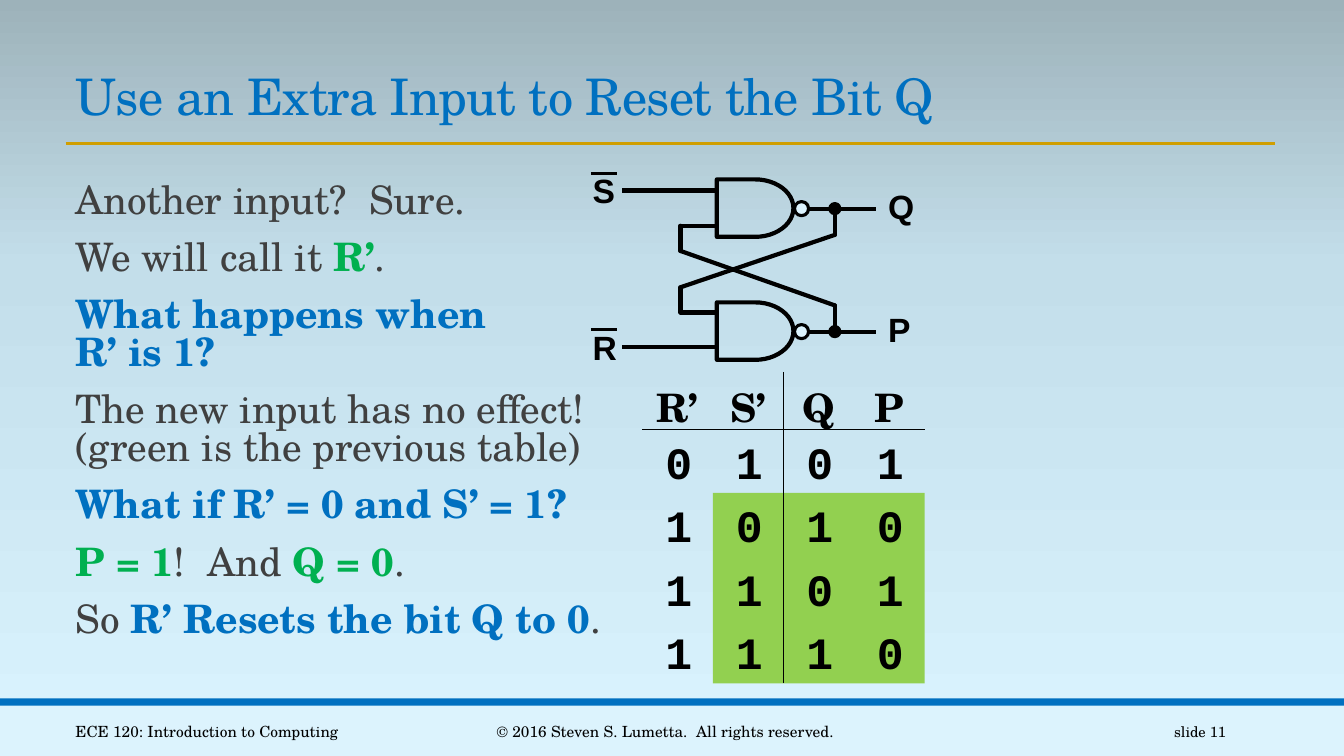
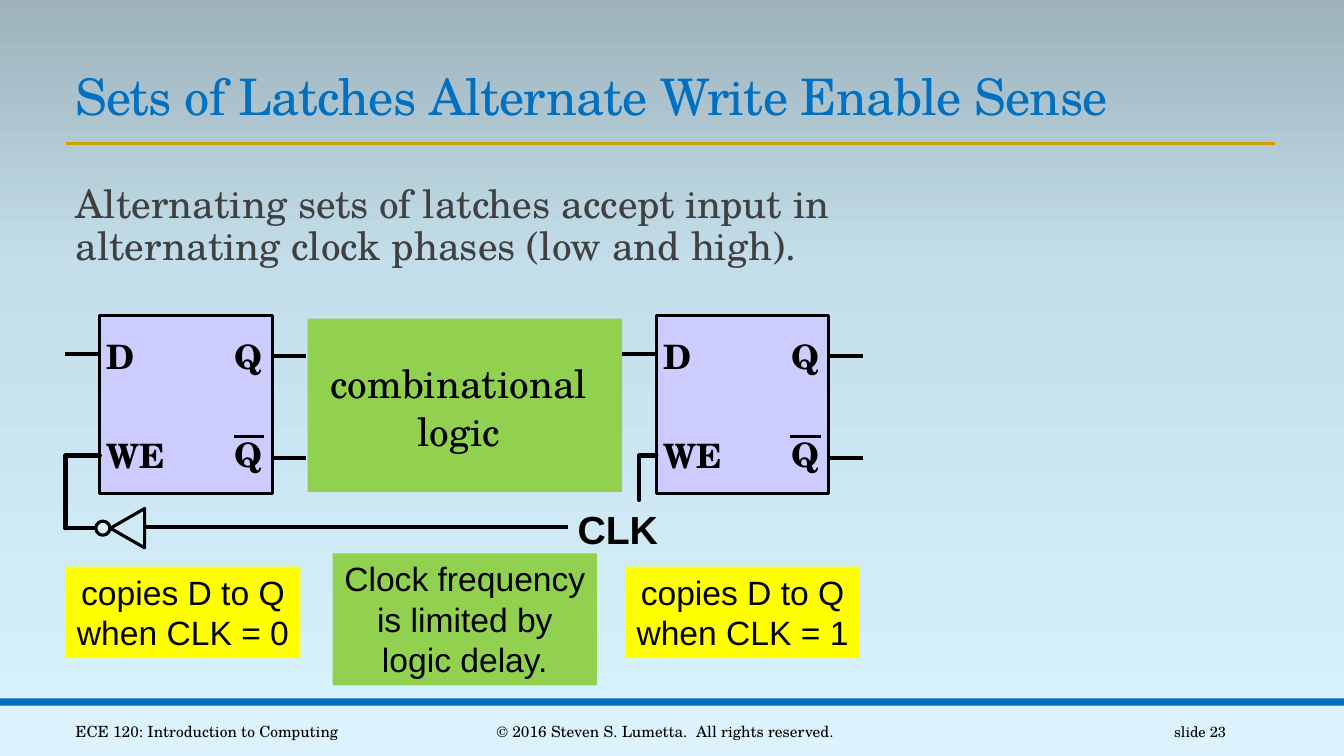
import copy
from itertools import pairwise

import pptx
import pptx.dml.color
import pptx.enum.shapes
import pptx.enum.text
import pptx.oxml.ns
import pptx.util
from lxml import etree

Inches, Pt = pptx.util.Inches, pptx.util.Pt
SHAPE = pptx.enum.shapes.MSO_SHAPE
ALIGN = pptx.enum.text.PP_ALIGN
ANCHOR = pptx.enum.text.MSO_ANCHOR
qn = pptx.oxml.ns.qn

COLORS = {
    "blue": "0070C0", "gold": "D09E00", "green": "00B050", "grey": "404040",
    "black": "000000", "pale": "DCF3FD", "lime": "92D050", "lilac": "CCCCFF",
    "yellow": "FFFF00", "sky low": "DAF4FF", "sky mid": "C3DEEA", "sky high": "9DB2BA",
}
SERIF, SANS, MONO = "TeX Gyre Schola", "Arial", "Courier New"


def rgb(name):
    return pptx.dml.color.RGBColor.from_string(COLORS[name])


class Deck:
    def __init__(self):
        self.prs = pptx.Presentation()
        self.prs.slide_width, self.prs.slide_height = Inches(13.33), Inches(7.5)
        self.slide = None

    def new_slide(self, title, number):
        """Start a slide with its background, bands, title and footer."""
        self.slide = self.prs.slides.add_slide(self.prs.slide_layouts[6])
        sky = self.slide.background.fill
        sky.gradient()
        sky.gradient_angle = 90
        stops = self.slide.element.find(".//" + qn("a:gsLst"))
        stops.append(copy.deepcopy(stops[0]))
        levels = ((0, "sky low"), (0.65, "sky mid"), (1, "sky high"))
        for stop, (position, color) in zip(sky.gradient_stops, levels):
            stop.position = position
            stop.color.rgb = rgb(color)

        self.shape(SHAPE.RECTANGLE, 0, 7, 13.33, 0.5, "pale")
        self.shape(SHAPE.RECTANGLE, 0, 6.93, 13.33, 0.07, "blue")
        self.wire((0.65, 1.42), (12.65, 1.42), color="gold", width=2)
        heading = self.text(0.65, 0.59, 12.01, 0.71, [[title]], size=36, color="blue",
                            anchor=ANCHOR.BOTTOM, wrap=True)
        heading.line_spacing = 0.85
        heading.runs[0].font._element.set("spc", "-50")
        footers = (
            (0.65, 3.25, "ECE 120: Introduction to Computing", 11, ALIGN.LEFT),
            (4.03, 5.14, "© 2016 Steven S. Lumetta.  All rights reserved.", 11, ALIGN.CENTER),
            (10.83, 1.43, f"slide {number}", 10.5, ALIGN.RIGHT),
        )
        for left, width, footer, size, align in footers:
            self.text(left, 7.06, width, 0.4, [[footer]], size=size, align=align,
                      anchor=ANCHOR.MIDDLE, wrap=True)

    def shape(self, kind, left, top, width, height, fill=None, line=None, turn=0):
        shape = self.slide.shapes.add_shape(
            kind, Inches(left), Inches(top), Inches(width), Inches(height))
        shape.shadow.inherit = False
        shape.rotation = turn
        if fill:
            shape.fill.solid()
            shape.fill.fore_color.rgb = rgb(fill)
        else:
            shape.fill.background()
        if line:
            shape.line.color.rgb = rgb("black")
            shape.line.width = Pt(line)
        else:
            shape.line.fill.background()
        return shape

    def circle(self, x, y, diameter, fill):
        """Draw a circle around the point x, y."""
        self.shape(SHAPE.OVAL, x - diameter / 2, y - diameter / 2, diameter, diameter, fill, 2.25)

    def wire(self, *points, color="black", width=3):
        """Join the points by straight lines, with round corners."""
        for (x1, y1), (x2, y2) in pairwise(points):
            segment = self.slide.shapes.add_connector(
                pptx.enum.shapes.MSO_CONNECTOR.STRAIGHT,
                Inches(x1), Inches(y1), Inches(x2), Inches(y2))
            segment.line.color.rgb = rgb(color)
            segment.line.width = Pt(width)
            if len(points) > 2:
                segment.line._ln.set("cap", "rnd")
            etree.SubElement(segment._element.spPr, qn("a:effectLst"))

    def style_run(self, run, font, size, color, bold):
        run.font.name, run.font.size, run.font.bold = font, Pt(size), bold
        run.font.color.rgb = rgb(color)

    def fill_frame(self, frame, paragraphs, font=SERIF, size=24, color="black", bold=False,
                   align=ALIGN.LEFT, anchor=ANCHOR.TOP, wrap=False):
        """Write paragraphs, each a list of runs: plain text or (text, color) for bold."""
        frame.word_wrap, frame.vertical_anchor = wrap, anchor
        for index, runs in enumerate(paragraphs):
            paragraph = frame.add_paragraph() if index else frame.paragraphs[0]
            paragraph.alignment = align
            for item in runs:
                words, tint, heavy = (item, color, bold) if isinstance(item, str) else (*item, True)
                for row, line in enumerate(words.split("\n")):
                    if row:
                        paragraph.add_line_break()
                    run = paragraph.add_run()
                    run.text = line
                    self.style_run(run, font, size, tint, heavy)
        return frame.paragraphs[0]

    def text(self, left, top, width, height, paragraphs, **style):
        box = self.slide.shapes.add_textbox(
            Inches(left), Inches(top), Inches(width), Inches(height))
        return self.fill_frame(box.text_frame, paragraphs, **style)

    def body(self, paragraphs, line_spacing):
        box = self.slide.shapes.add_textbox(Inches(0.65), Inches(1.78), Inches(8.52), Inches(4.64))
        self.fill_frame(box.text_frame, paragraphs, size=28, color="grey", wrap=True)
        for index, paragraph in enumerate(box.text_frame.paragraphs):
            paragraph.line_spacing = line_spacing
            paragraph.space_before = Pt(12 if index else 0)
            paragraph.space_after = Pt(2)

    def label(self, left, top, width, name, font=SERIF, size=24, height=0.5, bar=None):
        """Write a bold name or digit; bar is the start, end and height of its overline."""
        self.text(left, top, width, height, [[name]], font=font, size=size, bold=True)
        if bar:
            start, end, y = bar
            self.wire((start, y), (end, y), width=2)

    def note(self, left, top, width, height, fill, paragraphs):
        note = self.shape(SHAPE.RECTANGLE, left, top, width, height, fill)
        self.fill_frame(note.text_frame, [[words] for words in paragraphs], font=SANS,
                        align=ALIGN.CENTER, anchor=ANCHOR.TOP)

    def nand(self, top, output, input_name, input_y):
        """Draw a NAND gate with its outer input, its output and their names."""
        left, middle = 7.11, top + 0.29
        self.shape(SHAPE.FLOWCHART_DELAY, left, top, 0.76, 0.57, line=3)
        self.wire((left + 0.76, middle), (8.69, middle))
        self.circle(7.95, middle, 0.14, "pale")
        self.circle(8.28, middle, 0.1, "black")
        self.label(8.71, top + 0.02, 0.46, output, SANS)
        self.wire((6.17, input_y), (left, input_y))
        self.label(5.78, input_y - 0.25, 0.44, input_name, SANS,
                   bar=(5.86, 6.12, input_y - 0.17))

    def latch(self, left, enable_lead):
        """Draw a D latch with its four leads."""
        right, lead = left + 1.71, 0.34
        self.shape(SHAPE.RECTANGLE, left, 3.13, 1.71, 1.77, "lilac", 2)
        self.label(left - 0.03, 3.28, 0.48, "D")
        self.label(left - 0.03, 4.27, 0.79, "WE")
        self.label(right - 0.47, 3.28, 0.48, "Q")
        self.label(right - 0.47, 4.26, 0.48, "Q", bar=(right - 0.38, right - 0.08, 4.33))
        self.wire((left - lead, 3.51), (left, 3.51))
        self.wire((left, 4.52), *enable_lead)
        for y in (3.53, 4.54):
            self.wire((right, y), (right + lead, y))

    def truth_table(self, left, top, header, rows):
        """Rule a table, mark the previous table in lime and set the digits over it."""
        column, head_height, row_height = 0.7, 0.57, 0.63
        first_row = top + head_height
        self.shape(SHAPE.RECTANGLE, left + column, first_row + row_height,
                   column * (len(header) - 1), row_height * (len(rows) - 1), "lime")
        table = self.slide.shapes.add_table(
            len(rows) + 1, len(header), Inches(left), Inches(top),
            Inches(column * len(header)), Inches(head_height + row_height * len(rows))).table
        table.first_row = table.horz_banding = False
        for c, name in enumerate(header):
            table.columns[c].width = Inches(column)
            for r in range(len(rows) + 1):
                cell = table.cell(r, c)
                self.borders(cell, {"L": c == 2, "R": c == 1, "T": r == 1, "B": r == 0})
                cell.fill.background()
            self.fill_frame(table.cell(0, c).text_frame, [[name]], size=28, bold=True,
                            align=ALIGN.CENTER, wrap=True)
        for r, digits in enumerate(rows):
            table.rows[r + 1].height = Inches(row_height)
            for c, digit in enumerate(digits):
                self.label(left + 0.13 + column * c, first_row + row_height * r, 0.47, digit,
                           MONO, 32, 0.64)
        table.rows[0].height = Inches(head_height)

    def borders(self, cell, sides):
        properties = cell._tc.get_or_add_tcPr()
        for side, drawn in sides.items():
            border = etree.SubElement(properties, qn(f"a:ln{side}"), w=str(Pt(1)))
            paint = etree.SubElement(border, qn("a:solidFill" if drawn else "a:noFill"))
            if drawn:
                etree.SubElement(paint, qn("a:srgbClr"), val=COLORS["black"])


def reset_slide(deck):
    deck.new_slide("Use an Extra Input to Reset the Bit Q", 11)
    deck.body([
        ["Another input?  Sure."],
        ["We will call it ", ("R’", "green"), "."],
        [("What happens when\nR’ is 1?", "blue")],
        ["The new input has no effect!\n(green is the previous table)"],
        [("What if R’ = 0 and S’ = 1?", "blue")],
        [("P = 1", "green"), "!  And ", ("Q = 0", "green"), "."],
        ["So ", ("R’ Resets the bit Q to 0", "blue"), "."],
    ], 0.8)
    deck.nand(1.78, "Q", "S", 1.89)
    deck.nand(3, "P", "R", 3.44)
    deck.wire((8.28, 2.07), (8.28, 2.33), (6.75, 2.85), (6.75, 3.1), (7.11, 3.1))
    deck.wire((8.28, 3.29), (8.28, 3.03), (6.75, 2.49), (6.75, 2.24), (7.11, 2.24))
    deck.truth_table(6.37, 3.69, ["R’", "S’", "Q", "P"], ["0101", "1010", "1101", "1110"])


def latches_slide(deck):
    deck.new_slide("Sets of Latches Alternate Write Enable Sense", 23)
    deck.body([["Alternating sets of latches accept input in "
                "alternating clock phases (low and high)."]], 0.9)
    deck.latch(0.99, [(0.65, 4.52), (0.65, 5.24), (0.95, 5.24)])
    deck.shape(SHAPE.RECTANGLE, 3.05, 3.16, 3.12, 1.72, "lime")
    deck.text(3.16, 3.52, 2.78, 1.04, [["combinational"], ["logic"]], size=28,
              align=ALIGN.CENTER)
    deck.latch(6.51, [(6.34, 4.52), (6.34, 4.96)])

    deck.wire((1.44, 5.23), (5.63, 5.23))
    deck.shape(SHAPE.ISOSCELES_TRIANGLE, 1.07, 5.07, 0.39, 0.34, line=2.25, turn=270)
    deck.circle(1.02, 5.24, 0.14, "pale")
    deck.label(5.63, 4.96, 1.01, "CLK", SANS, 28)

    for left, level in ((0.65, 0), (6.2, 1)):
        deck.note(left, 5.62, 2.33, 0.91, "yellow", ["copies D to Q", f"when CLK = {level}"])
    deck.note(3.3, 5.49, 2.62, 1.31, "lime", ["Clock frequency\nis limited by\nlogic delay."])


def main():
    deck = Deck()
    reset_slide(deck)
    latches_slide(deck)
    deck.prs.save("out.pptx")


if __name__ == "__main__":
    main()
